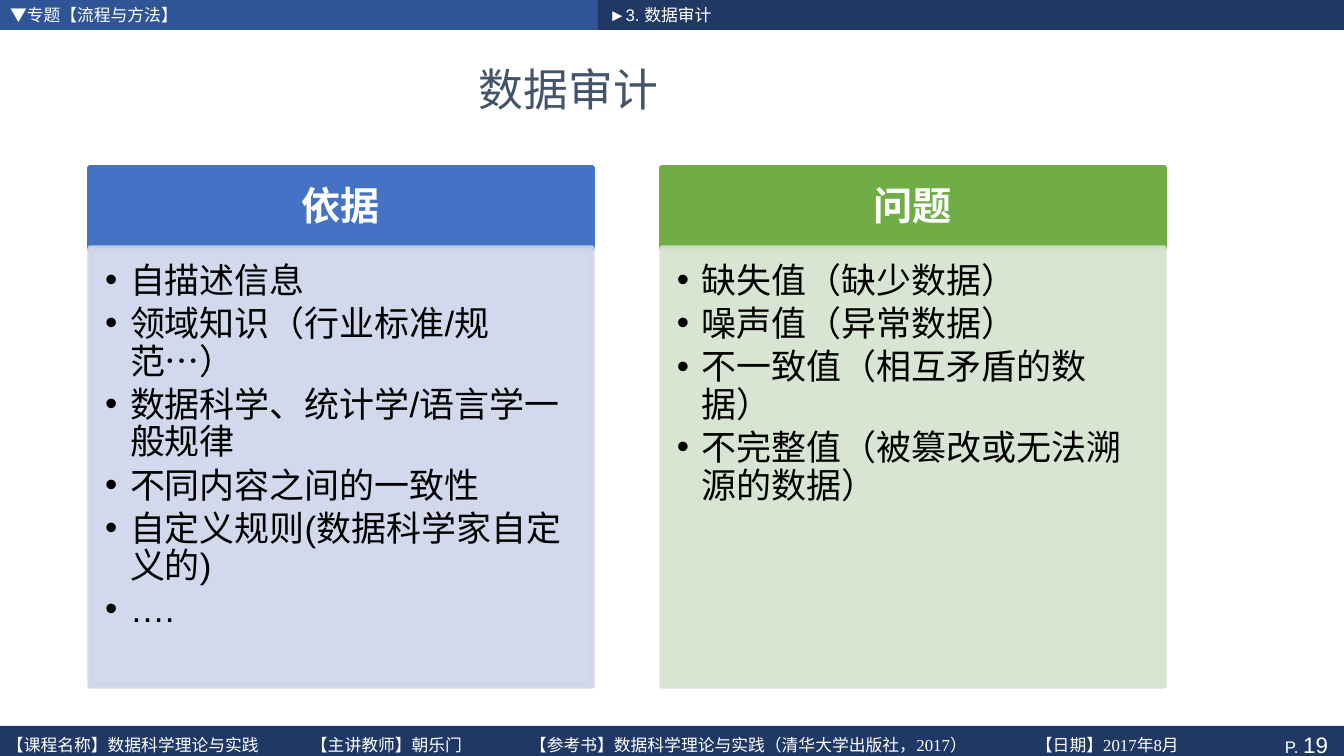
import pptx
import pptx.dml.color
import pptx.enum.shapes
import pptx.enum.text
import pptx.oxml
import pptx.oxml.ns
import pptx.util

EMU_PER_PX = 914400 / 100.8
COLORS = {
    "white": "FFFFFF", "black": "000000", "title": "44546A",
    "navy": "203864", "blue_bar": "2F5597",
    "blue": "4472C4", "pale_blue": "CFD5EA",
    "green": "70AD47", "pale_green": "D5E3CF",
}
EAST_ASIAN_FONT = "Noto Sans CJK SC"
ALIGN = pptx.enum.text.PP_ALIGN
ANCHOR = pptx.enum.text.MSO_ANCHOR


def px(length):
    return pptx.util.Emu(round(length * EMU_PER_PX))


def rgb(name):
    return pptx.dml.color.RGBColor.from_string(COLORS[name])


def add_xml(parent, tag, **attributes):
    element = pptx.oxml.parse_xml(f"<a:{tag} {pptx.oxml.ns.nsdecls('a')}/>")
    for key, value in attributes.items():
        element.set(key, str(value))
    parent.append(element)
    return element


class SlideBuilder:
    """Holds the style and the current slide."""

    def __init__(self, slide):
        self.slide = slide

    def rectangle(self, box, color, line_width=0, opacity=100):
        shape = self.slide.shapes.add_shape(
            pptx.enum.shapes.MSO_SHAPE.RECTANGLE, *map(px, box))
        shape.shadow.inherit = False
        shape.fill.solid()
        shape.fill.fore_color.rgb = rgb(color)
        if line_width:
            shape.line.color.rgb = rgb(color)
            shape.line.width = pptx.util.Pt(line_width)
        else:
            shape.line.fill.background()
        if opacity < 100:
            for tint in list(shape.element.spPr.iter(pptx.oxml.ns.qn("a:srgbClr"))):
                add_xml(tint, "alpha", val=opacity * 1000)
        return shape

    def text_box(self, box):
        return self.slide.shapes.add_textbox(*map(px, box))

    def placeholder(self, index, box):
        """Move a placeholder to its place and to the front."""
        shape = self.slide.placeholders[index]
        shape.left, shape.top, shape.width, shape.height = map(px, box)
        shape.element.getparent().append(shape.element)
        return shape

    def frame(self, shape, anchor=ANCHOR.MIDDLE, insets=(10, 5, 10, 5)):
        frame = shape.text_frame
        frame.word_wrap = True
        frame.auto_size = pptx.enum.text.MSO_AUTO_SIZE.NONE
        frame.vertical_anchor = anchor
        (frame.margin_left, frame.margin_top,
         frame.margin_right, frame.margin_bottom) = map(px, insets)
        return frame

    def style(self, paragraph, size, color="white", font="Arial", bold=False,
              align=ALIGN.LEFT, line_spacing=1.0, space_after=0):
        paragraph.alignment = align
        paragraph.line_spacing = line_spacing
        paragraph.space_before = pptx.util.Pt(0)
        paragraph.space_after = pptx.util.Pt(space_after)
        paragraph.font.size = pptx.util.Pt(size)
        paragraph.font.bold = bold
        paragraph.font.name = font
        paragraph.font.color.rgb = rgb(color)
        defaults = paragraph._p.get_or_add_pPr().find(pptx.oxml.ns.qn("a:defRPr"))
        add_xml(defaults, "ea", typeface=EAST_ASIAN_FONT)

    def label(self, shape, text, size, **style):
        paragraph = self.frame(shape).paragraphs[0]
        paragraph.text = text
        self.style(paragraph, size, **style)

    def tabbed_line(self, shape, parts, stops, size, **style):
        paragraph = self.frame(shape).paragraphs[0]
        paragraph.text = "\t".join(parts)
        tabs = add_xml(paragraph._p.get_or_add_pPr(), "tabLst")
        for stop in stops:
            add_xml(tabs, "tab", pos=px(stop), algn="l")
        self.style(paragraph, size, **style)

    def page_number(self, shape, prefix, number):
        paragraph = self.frame(shape, insets=(10, 5, 16, 5)).paragraphs[0]
        self.style(paragraph, 12, align=ALIGN.RIGHT)
        paragraph.add_run().text = prefix
        run = paragraph.add_run()
        run.text = number
        run.font.size = pptx.util.Pt(16)

    def bullet_list(self, shape, items):
        frame = self.frame(shape, ANCHOR.TOP, (15, 15, 19, 22))
        for position, item in enumerate(items):
            paragraph = frame.add_paragraph() if position else frame.paragraphs[0]
            paragraph.text = item
            properties = paragraph._p.get_or_add_pPr()
            properties.set("marL", str(px(25)))
            properties.set("indent", str(-px(25)))
            add_xml(properties, "buFont", typeface="Arial")
            add_xml(properties, "buChar", char="•")
            self.style(paragraph, 25, "black", line_spacing=0.9, space_after=3.8)

    def card(self, left, index, heading, items, color, pale_color):
        header = self.rectangle((left, 168, 502, 80), color, 3.78)
        self.label(header, heading, 28, bold=True, align=ALIGN.CENTER, line_spacing=0.9)
        body = (left, 248, 502, 438)
        self.rectangle(body, pale_color, 3.78, opacity=90)
        self.bullet_list(self.placeholder(index, body), items)


def main():
    presentation = pptx.Presentation()
    presentation.slide_width, presentation.slide_height = px(1344), px(756)
    # Comparison layout: title, two text bodies (1, 3) and two lists (2, 4)
    slide = presentation.slides.add_slide(presentation.slide_layouts[4])
    builder = SlideBuilder(slide)

    # Top and bottom bars
    builder.rectangle((0, 0, 598, 30), "blue_bar")
    builder.rectangle((598, 0, 746, 30), "navy")
    footer_bar = builder.rectangle((0, 726, 1344, 37), "navy")
    builder.page_number(footer_bar, "P. ", "19")
    builder.tabbed_line(
        builder.text_box((-3, 731, 1286, 28)),
        ["【课程名称】数据科学理论与实践", "【主讲教师】朝乐门",
         "【参考书】数据科学理论与实践（清华大学出版社，2017）", "【日期】2017年8月"],
        (304, 523, 1029), 12, font="Times New Roman")

    # Title
    builder.label(builder.placeholder(0, (299, 43, 539, 91)), "数据审计", 32,
                  color="title", font=EAST_ASIAN_FONT, align=ALIGN.CENTER)

    # Cards
    builder.card(90, 2, "依据", [
        "自描述信息",
        "领域知识（行业标准/规范…）",
        "数据科学、统计学/语言学一般规律",
        "不同内容之间的一致性",
        "自定义规则(数据科学家自定义的)",
        "….",
    ], "blue", "pale_blue")
    builder.card(662, 4, "问题", [
        "缺失值（缺少数据）",
        "噪声值（异常数据）",
        "不一致值（相互矛盾的数据）",
        "不完整值（被篡改或无法溯源的数据）",
    ], "green", "pale_green")

    # Section labels in the top bar
    builder.label(builder.placeholder(1, (0, 0, 487, 29)), "▼专题【流程与方法】", 12)
    builder.label(builder.placeholder(3, (599, 0, 240, 29)), "►3. 数据审计", 12)

    presentation.save("out.pptx")


if __name__ == "__main__":
    main()
